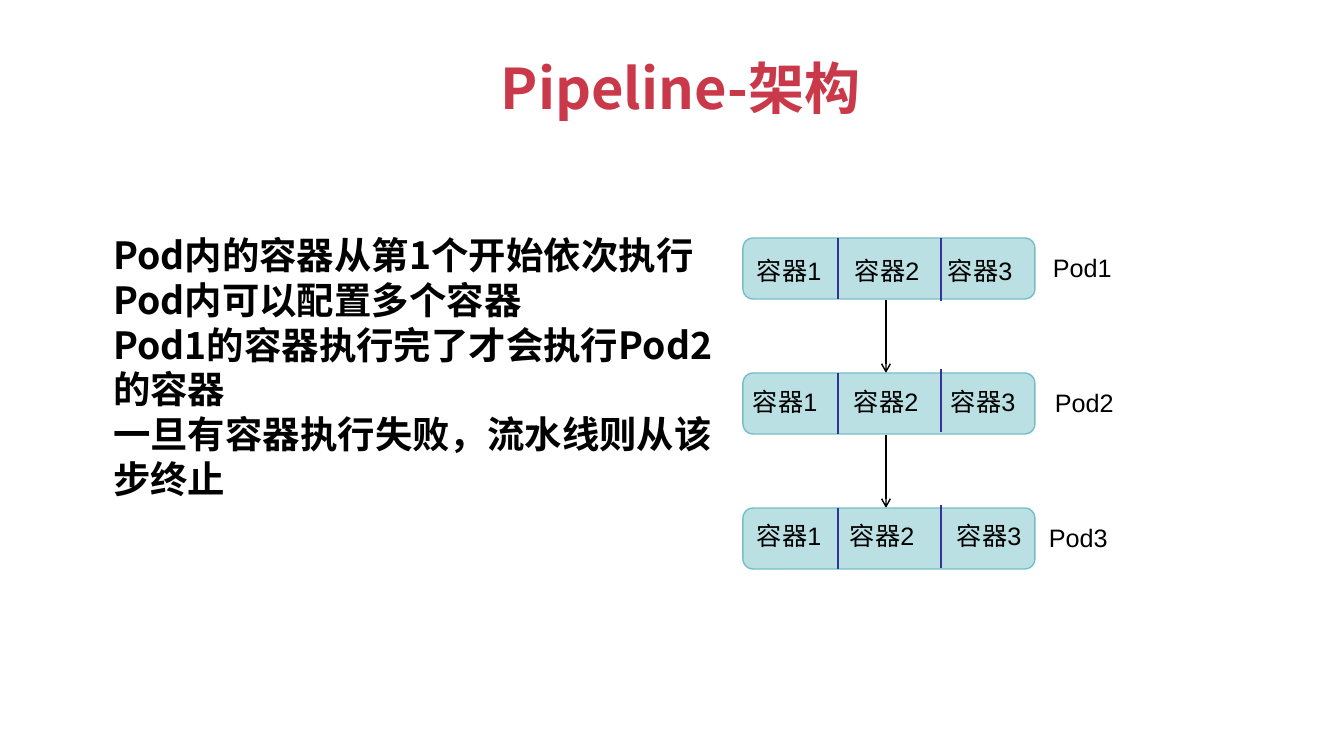
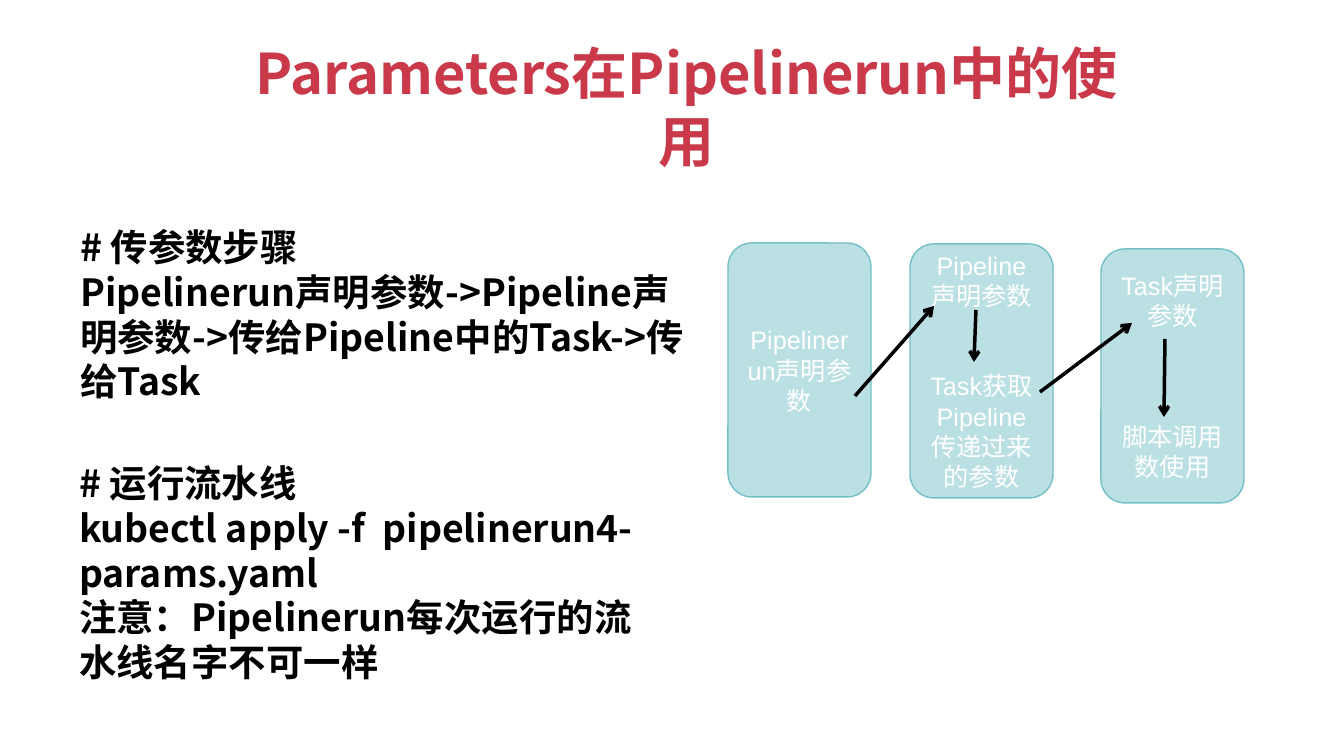
from dataclasses import dataclass
from typing import Any

from lxml.etree import SubElement
from pptx import Presentation
from pptx.dml.color import RGBColor
from pptx.enum.shapes import MSO_CONNECTOR, MSO_SHAPE
from pptx.enum.text import MSO_ANCHOR, MSO_AUTO_SIZE, PP_ALIGN
from pptx.oxml.ns import qn
from pptx.util import Emu, Pt

# Shared look
EMU_PER_PX = 914400 / 100.8
COLORS = {
    "title": "C9394A",
    "text": "000000",
    "box": "BBE0E3",
    "outline": "72BFC5",
    "divider": "333399",
    "on_box": "FFFFFF",
}
HEADING_FONT = "Noto Sans CJK SC"
TITLE_FORMAT = {"name": HEADING_FONT, "size": Pt(40), "bold": True}
BODY_FORMAT = {"name": HEADING_FONT, "size": Pt(26.7), "bold": True}
LABEL_FORMAT = {"name": "Arial", "size": Pt(18), "bold": False}


@dataclass(frozen=True)
class Area:
    left: int
    top: int
    width: int
    height: int


@dataclass(frozen=True)
class Line:
    x1: int
    y1: int
    x2: int
    y2: int


@dataclass(frozen=True)
class PodRow:
    container_lefts: tuple[int, int, int]
    label_offset: int
    name_left: int
    divider_offset: int


@dataclass(frozen=True)
class Stage:
    left: int
    top: int
    steps: tuple[str, ...]
    step_gap: float = 0


def px(length: int) -> Emu:
    return Emu(round(length * EMU_PER_PX))


def box(area: Area) -> tuple[Emu, Emu, Emu, Emu]:
    return px(area.left), px(area.top), px(area.width), px(area.height)


def rgb(color: str) -> RGBColor:
    return RGBColor.from_string(COLORS[color])


# Text
def write(frame: Any, lines: tuple[str, ...], font_format: dict[str, Any], color: str,
          align: PP_ALIGN = PP_ALIGN.LEFT, gap: float = 0) -> None:
    frame.word_wrap = True
    frame.auto_size = MSO_AUTO_SIZE.NONE
    for number, line in enumerate(lines):
        paragraph = frame.add_paragraph() if number else frame.paragraphs[0]
        paragraph.alignment = align
        paragraph.space_before = Pt(gap if number else 0)
        run = paragraph.add_run()
        run.text = line
        for attribute, value in font_format.items():
            setattr(run.font, attribute, value)
        run.font.color.rgb = rgb(color)
        if font_format["name"] == HEADING_FONT:
            SubElement(run.font._element, qn("a:ea"), typeface=HEADING_FONT)


def place(placeholder: Any, area: Area) -> Any:
    placeholder.left, placeholder.top, placeholder.width, placeholder.height = box(area)
    placeholder.text_frame.vertical_anchor = MSO_ANCHOR.TOP
    return placeholder.text_frame


def set_title(slide: Any, area: Area, title: str) -> None:
    frame = place(slide.shapes.title, area)
    margins = {"margin_left": 13, "margin_right": 13, "margin_top": 7, "margin_bottom": 7}
    for side, margin in margins.items():
        setattr(frame, side, px(margin))
    write(frame, (title,), TITLE_FORMAT, "title", PP_ALIGN.CENTER)


def set_body(slide: Any, index: int, area: Area, lines: tuple[str, ...]) -> None:
    frame = place(slide.placeholders[index], area)
    write(frame, lines, BODY_FORMAT, "text")
    for paragraph in frame.paragraphs:
        properties = paragraph._p.get_or_add_pPr()
        properties.set("marL", "0")
        properties.set("indent", "0")
        SubElement(properties, qn("a:buNone"))


def add_label(slide: Any, left: int, top: int, text: str) -> None:
    label = slide.shapes.add_textbox(*box(Area(left, top, 97, 40)))
    write(label.text_frame, (text,), LABEL_FORMAT, "text")


# Boxes and lines
def add_box(slide: Any, area: Area) -> Any:
    rounded = slide.shapes.add_shape(MSO_SHAPE.ROUNDED_RECTANGLE, *box(area))
    rounded.shadow.inherit = False
    rounded.fill.solid()
    rounded.fill.fore_color.rgb = rgb("box")
    rounded.line.color.rgb = rgb("outline")
    rounded.line.width = Pt(1)
    return rounded


def add_line(slide: Any, ends: Line, color: str, width: float, arrow: bool = False) -> None:
    connector = slide.shapes.add_connector(
        MSO_CONNECTOR.STRAIGHT, px(ends.x1), px(ends.y1), px(ends.x2), px(ends.y2))
    connector.line.color.rgb = rgb(color)
    connector.line.width = Pt(width)
    if arrow:
        SubElement(connector.line._get_or_add_ln(), qn("a:tailEnd"), type="arrow")
    SubElement(connector._element.spPr, qn("a:effectLst"))


# Slide 1: pods run one after another
POD_LEFT, POD_TOP, POD_WIDTH, POD_HEIGHT, POD_PITCH = 743, 238, 292, 61, 135
FIRST_DIVIDER, SECOND_DIVIDER, SECOND_DIVIDER_HEIGHT = 838, 941, 63
FLOW_X = 886
POD_ROWS = (
    PodRow((747, 845, 938), 12, 1043, 0),
    PodRow((743, 844, 941), 8, 1045, -4),
    PodRow((747, 840, 947), 7, 1039, -3),
)


def build_architecture(deck: Any) -> None:
    slide = deck.slides.add_slide(deck.slide_layouts[1])
    set_title(slide, Area(486, 47, 389, 149), "Pipeline-架构")
    set_body(slide, 1, Area(103, 227, 624, 371), (
        "Pod内的容器从第1个开始依次执行",
        "Pod内可以配置多个容器",
        "Pod1的容器执行完了才会执行Pod2的容器",
        "一旦有容器执行失败，流水线则从该步终止",
    ))
    for number, row in enumerate(POD_ROWS, 1):
        top = POD_TOP + (number - 1) * POD_PITCH
        bottom = top + POD_HEIGHT
        add_box(slide, Area(POD_LEFT, top, POD_WIDTH, POD_HEIGHT))
        add_line(slide, Line(FIRST_DIVIDER, top, FIRST_DIVIDER, bottom), "divider", 1)
        divider_top = top + row.divider_offset
        add_line(slide, Line(SECOND_DIVIDER, divider_top, SECOND_DIVIDER,
                             divider_top + SECOND_DIVIDER_HEIGHT), "divider", 1)
        for container, left in enumerate(row.container_lefts, 1):
            add_label(slide, left, top + row.label_offset, f"容器{container}")
        add_label(slide, row.name_left, top + 9, f"Pod{number}")
        if number < len(POD_ROWS):
            add_line(slide, Line(FLOW_X, bottom + 1, FLOW_X, top + POD_PITCH),
                     "text", 1, arrow=True)


# Slide 2: how a parameter is handed on
STAGE_WIDTH, STAGE_HEIGHT = 143, 254
STAGES = (
    Stage(728, 243, ("Pipelinerun声明参数",)),
    Stage(910, 244, ("Pipeline声明参数", "Task获取Pipeline传递过来的参数"), 43),
    Stage(1101, 249, ("Task声明参数", "脚本调用数使用"), 65),
)
HANDOVERS = (
    Line(855, 396, 934, 306),
    Line(976, 310, 974, 362),
    Line(1040, 392, 1132, 323),
    Line(1165, 339, 1164, 417),
)


def build_parameters(deck: Any) -> None:
    slide = deck.slides.add_slide(deck.slide_layouts[3])
    set_title(slide, Area(242, 32, 889, 149), "Parameters在Pipelinerun中的使用")
    set_body(slide, 1, Area(70, 219, 647, 246), (
        "# 传参数步骤",
        "Pipelinerun声明参数->Pipeline声明参数->传给Pipeline中的Task->传给Task",
    ))
    set_body(slide, 2, Area(69, 455, 621, 236), (
        "# 运行流水线",
        "kubectl apply -f  pipelinerun4-",
        "params.yaml",
        "注意：Pipelinerun每次运行的流",
        "水线名字不可一样",
    ))
    for stage in STAGES:
        card = add_box(slide, Area(stage.left, stage.top, STAGE_WIDTH, STAGE_HEIGHT))
        card.text_frame.vertical_anchor = MSO_ANCHOR.MIDDLE
        write(card.text_frame, stage.steps, LABEL_FORMAT, "on_box",
              PP_ALIGN.CENTER, stage.step_gap)
    for handover in HANDOVERS:
        add_line(slide, handover, "text", 2.5, arrow=True)


def main() -> None:
    deck = Presentation()
    deck.slide_width, deck.slide_height = px(1344), px(756)
    build_architecture(deck)
    build_parameters(deck)
    deck.save("out.pptx")


if __name__ == "__main__":
    main()
